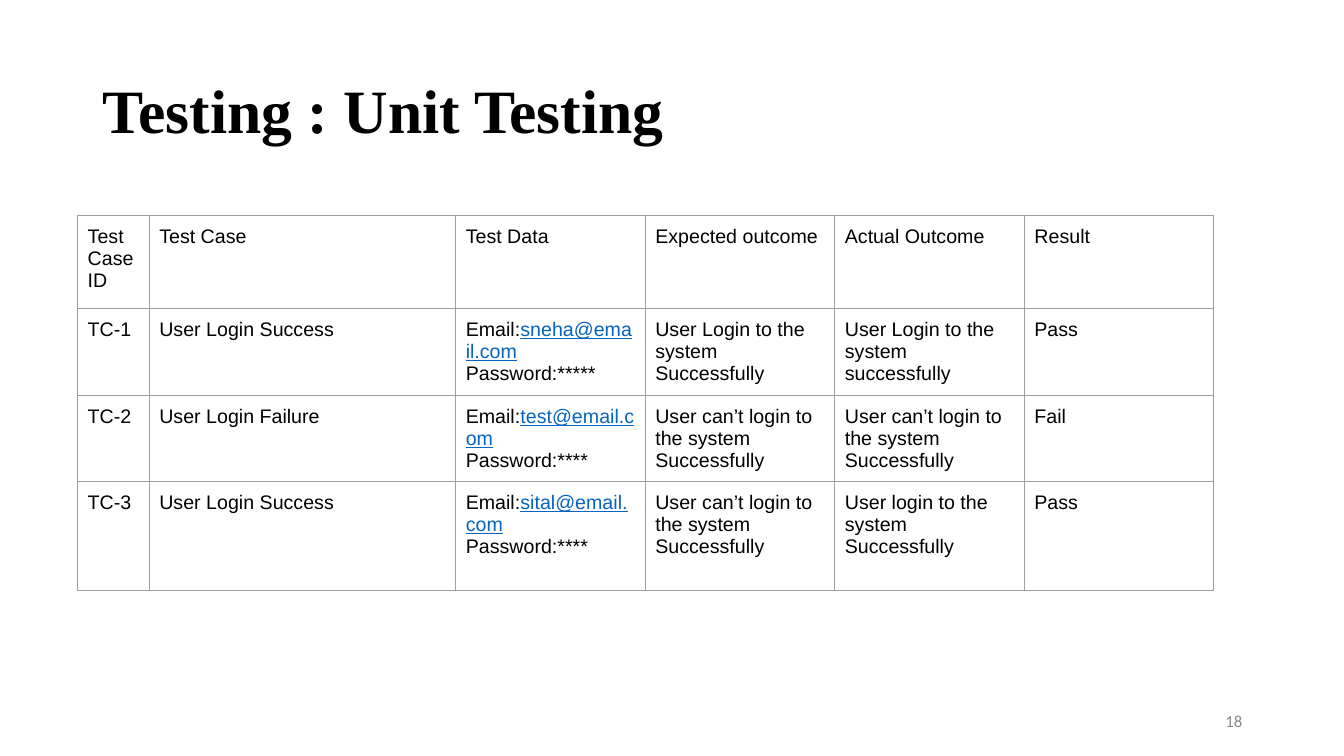
import pptx
import pptx.dml.color
import pptx.enum.text
import pptx.oxml
import pptx.oxml.ns
import pptx.util

Inches, Pt = pptx.util.Inches, pptx.util.Pt
ALIGN = pptx.enum.text.PP_ALIGN
ANCHOR = pptx.enum.text.MSO_ANCHOR

BLACK, LINK, GRAY, BORDER = "000000", "0563C1", "888888", "9E9E9E"
COLS = [0.71, 3.04] + [1.88] * 4
ROWS = [0.92, 0.86, 0.86, 1.08]
HEADER = ["Test Case ID", "Test Case", "Test Data",
          "Expected outcome", "Actual Outcome", "Result"]
DENIED = "User can’t login to the system Successfully"
# ID, test case, (email, password), expected, actual, result
CASES = [
    ["TC-1", "User Login Success", ("sneha@email.com", "*****"),
     "User Login to the system Successfully",
     "User Login to the system successfully", "Pass"],
    ["TC-2", "User Login Failure", ("test@email.com", "****"),
     DENIED, DENIED, "Fail"],
    ["TC-3", "User Login Success", ("sital@email.com", "****"),
     DENIED, "User login to the system Successfully", "Pass"],
]


def rgb(color):
    return pptx.dml.color.RGBColor.from_string(color)


def add_text(p, text, size=14, font="Arial", color=BLACK, bold=False,
             underline=False, align=ALIGN.LEFT):
    p.alignment = align
    r = p.add_run()
    r.text = text
    f = r.font
    f.size, f.name, f.bold, f.underline = Pt(size), font, bold, underline
    f.color.rgb = rgb(color)


def add_title(slide, text, x, y, w, h):
    sp = slide.shapes.title
    sp.left, sp.top, sp.width, sp.height = map(Inches, (x, y, w, h))
    tf = sp.text_frame
    tf.auto_size = pptx.enum.text.MSO_AUTO_SIZE.NONE
    tf.vertical_anchor = ANCHOR.MIDDLE
    p = tf.paragraphs[0]
    p.line_spacing = 0.9
    add_text(p, text, size=44, font="Times New Roman", bold=True)


def add_page_number(slide, number, x, y, w, h):
    tf = slide.shapes.add_textbox(*map(Inches, (x, y, w, h))).text_frame
    tf.word_wrap = True
    tf.vertical_anchor = ANCHOR.MIDDLE
    add_text(tf.paragraphs[0], number, size=12, font="Calibri", color=GRAY,
             align=ALIGN.RIGHT)


def format_cell(cell):
    cell.margin_left = cell.margin_right = Inches(0.1)
    cell.margin_top = cell.margin_bottom = Inches(0.1)
    tc_pr = cell._tc.get_or_add_tcPr()
    for side in ("lnL", "lnR", "lnT", "lnB"):
        tc_pr.append(pptx.oxml.parse_xml(
            f'<a:{side} {pptx.oxml.ns.nsdecls("a")} w="{Pt(0.75)}"><a:solidFill>'
            f'<a:srgbClr val="{BORDER}"/></a:solidFill></a:{side}>'))
    cell.fill.background()


def fill_cell(cell, content):
    format_cell(cell)
    tf = cell.text_frame
    p = tf.paragraphs[0]
    if isinstance(content, str):
        add_text(p, content)
        return
    email, password = content
    add_text(p, "Email:")
    add_text(p, email, color=LINK, underline=True)
    add_text(tf.add_paragraph(), "Password:" + password)


def add_case_table(slide, x, y):
    box = map(Inches, (x, y, sum(COLS), sum(ROWS)))
    table = slide.shapes.add_table(len(ROWS), len(COLS), *box).table
    table.first_row = table.horz_banding = False
    for col, width in zip(table.columns, COLS):
        col.width = Inches(width)
    for row, height, contents in zip(table.rows, ROWS, [HEADER] + CASES):
        row.height = Inches(height)
        for cell, content in zip(row.cells, contents):
            fill_cell(cell, content)


def main():
    prs = pptx.Presentation()
    prs.slide_width, prs.slide_height = Inches(13.33), Inches(7.5)
    slide = prs.slides.add_slide(prs.slide_layouts.get_by_name("Title Only"))
    add_title(slide, "Testing : Unit Testing", 0.92, 0.4, 11.5, 1.45)
    add_case_table(slide, 0.77, 2.14)
    add_page_number(slide, "18", 9.42, 6.95, 3, 0.4)
    prs.save("out.pptx")


if __name__ == "__main__":
    main()
